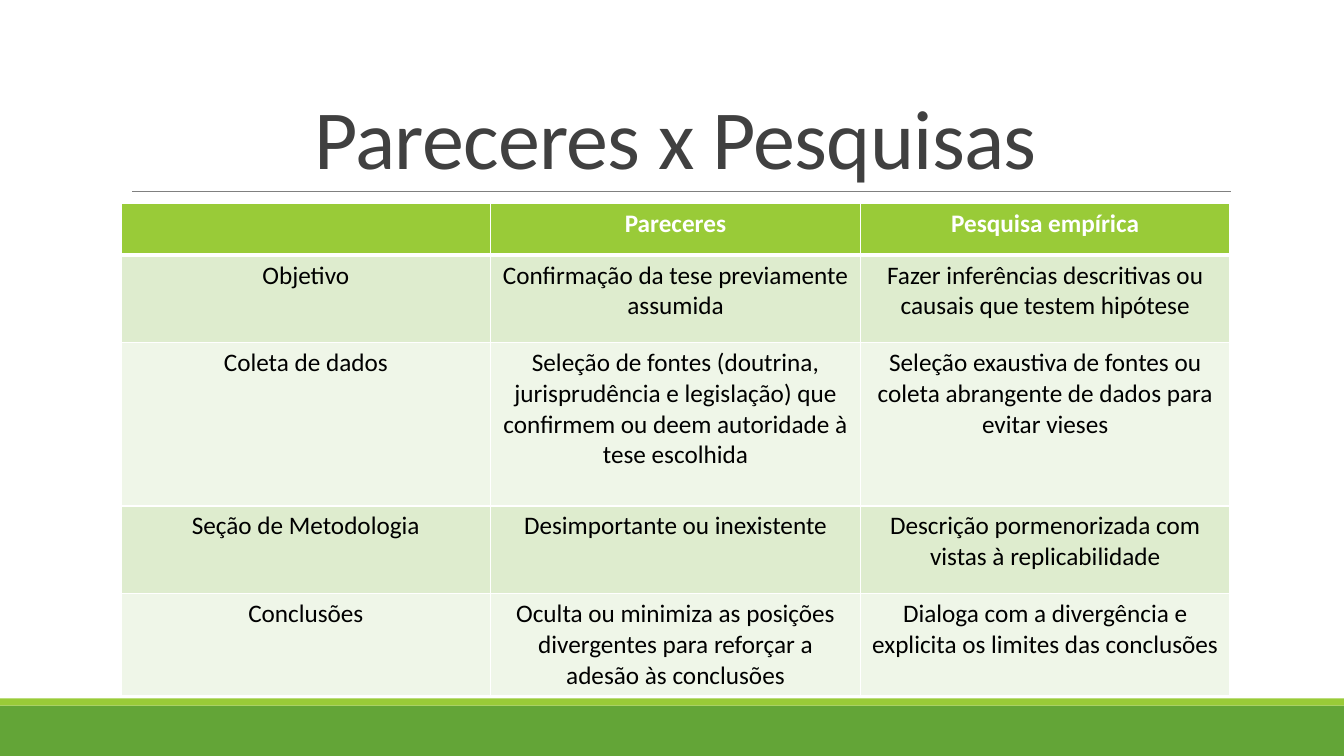
import pptx
import pptx.dml.color
import pptx.enum.shapes
import pptx.enum.text
import pptx.oxml
import pptx.oxml.ns
import pptx.util

PX = 9144
THEME = {
    "font": "Calibri",
    "title_size": 60,
    "cell_size": 18,
    "title": "404040",
    "rule": "808080",
    "footer": "63A537",
    "accent": "99CB38",
    "bands": ("DEECCE", "EFF6E8"),
    "header_text": "FFFFFF",
    "body_text": "000000",
    "border": "FFFFFF",
}


def px(length):
    return pptx.util.Emu(length * PX)


def style_paragraph(paragraph, size, color, bold=False):
    paragraph.alignment = pptx.enum.text.PP_ALIGN.CENTER
    paragraph.font.name = THEME["font"]
    paragraph.font.size = pptx.util.Pt(size)
    paragraph.font.bold = bold
    paragraph.font.color.rgb = pptx.dml.color.RGBColor.from_string(color)


deck = pptx.Presentation()
deck.slide_width, deck.slide_height = px(1333), px(750)
slide = deck.slides.add_slide(deck.slide_layouts[5])

for top, height, color in ((700, 50, THEME["footer"]), (693, 7, THEME["accent"])):
    band = slide.shapes.add_shape(
        pptx.enum.shapes.MSO_SHAPE.RECTANGLE, 0, px(top), deck.slide_width, px(height)
    )
    band.shadow.inherit = False
    band.fill.solid()
    band.fill.fore_color.rgb = pptx.dml.color.RGBColor.from_string(color)
    band.line.fill.background()

title_rule = slide.shapes.add_connector(
    pptx.enum.shapes.MSO_CONNECTOR.STRAIGHT, px(131), px(190), px(1221), px(190)
)
title_rule.line.color.rgb = pptx.dml.color.RGBColor.from_string(THEME["rule"])
title_rule.line.width = pptx.util.Pt(0.5)
title_rule._element.spPr.append(
    pptx.oxml.parse_xml(f'<a:effectLst {pptx.oxml.ns.nsdecls("a")}/>')
)

title = slide.shapes.title
title.left, title.top, title.width, title.height = px(120), px(31), px(1100), px(159)
title.text_frame.text = "Pareceres x Pesquisas"
title.text_frame.auto_size = pptx.enum.text.MSO_AUTO_SIZE.NONE
title.text_frame.vertical_anchor = pptx.enum.text.MSO_ANCHOR.BOTTOM
heading = title.text_frame.paragraphs[0]
heading.line_spacing = 0.85
style_paragraph(heading, THEME["title_size"], THEME["title"])
heading.runs[0].font._element.set("spc", "-50")

comparison = (
    ("", "Pareceres", "Pesquisa empírica"),
    (
        "Objetivo",
        "Confirmação da tese previamente assumida",
        "Fazer inferências descritivas ou causais que testem hipótese",
    ),
    (
        "Coleta de dados",
        "Seleção de fontes (doutrina, jurisprudência e legislação) que confirmem ou deem autoridade à tese escolhida",
        "Seleção exaustiva de fontes ou coleta abrangente de dados para evitar vieses",
    ),
    (
        "Seção de Metodologia",
        "Desimportante ou inexistente",
        "Descrição pormenorizada com vistas à replicabilidade",
    ),
    (
        "Conclusões",
        "Oculta ou minimiza as posições divergentes para reforçar a adesão às conclusões",
        "Dialoga com a divergência e explicita os limites das conclusões",
    ),
)
row_heights = (51, 87, 162, 87, 100)

table = slide.shapes.add_table(
    len(comparison), 3, px(120), px(202), px(1100), px(sum(row_heights))
).table
for row, (texts, height) in enumerate(zip(comparison, row_heights)):
    table.rows[row].height = px(height)
    is_header = row == 0
    fill = THEME["accent"] if is_header else THEME["bands"][(row - 1) % 2]
    text_color = THEME["header_text"] if is_header else THEME["body_text"]
    for column, text in enumerate(texts):
        cell = table.cell(row, column)
        cell.text = text
        style_paragraph(
            cell.text_frame.paragraphs[0], THEME["cell_size"], text_color, is_header
        )
        cell_properties = cell._tc.get_or_add_tcPr()
        for side in "LRTB":
            heavy = (row, side) in ((0, "B"), (1, "T"))
            width = pptx.util.Pt(3 if heavy else 1)
            cell_properties.append(
                pptx.oxml.parse_xml(
                    f'<a:ln{side} {pptx.oxml.ns.nsdecls("a")} w="{width}"><a:solidFill>'
                    f'<a:srgbClr val="{THEME["border"]}"/></a:solidFill></a:ln{side}>'
                )
            )
        cell.fill.solid()
        cell.fill.fore_color.rgb = pptx.dml.color.RGBColor.from_string(fill)

deck.save("out.pptx")
